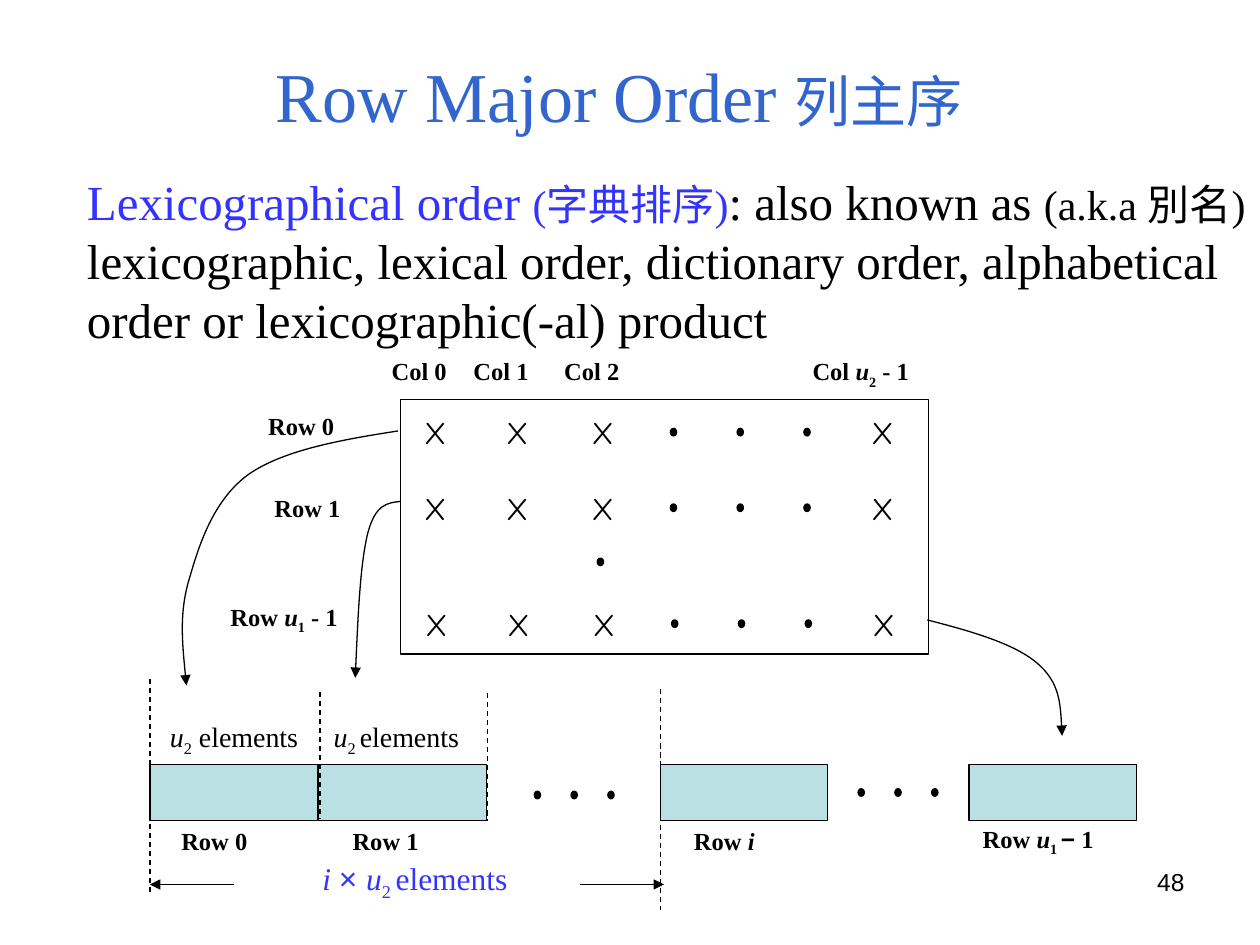
from lxml import etree
from pptx import Presentation
from pptx.dml.color import RGBColor
from pptx.enum.dml import MSO_LINE
from pptx.enum.shapes import MSO_CONNECTOR, MSO_SHAPE
from pptx.enum.text import MSO_ANCHOR, MSO_AUTO_SIZE, PP_ALIGN
from pptx.oxml.ns import qn
from pptx.util import Inches, Pt

DASH = MSO_LINE.DASH
STRAIGHT = MSO_CONNECTOR.STRAIGHT
RECTANGLE, OVAL = MSO_SHAPE.RECTANGLE, MSO_SHAPE.OVAL
BOTTOM, TOP = MSO_ANCHOR.BOTTOM, MSO_ANCHOR.TOP
NO_FIT = MSO_AUTO_SIZE.NONE
LEFT, CENTER, RIGHT = PP_ALIGN.LEFT, PP_ALIGN.CENTER, PP_ALIGN.RIGHT

COLUMNS, ROWS = 100, 75
SLIDE_WIDTH, SLIDE_HEIGHT = Inches(10), Inches(7.5)
BLACK, BLUE, TITLE_BLUE, TEAL = "000000", "3333FF", "3366CC", "BBE0E3"
SERIF, SANS, HAND = "Times New Roman", "Arial", "Comic Neue"

BOLD = {"bold": True}
ITALIC = {"italic": True}
SUBSCRIPT = {"baseline": "-25000"}


def color(hex_text):
    return RGBColor.from_string(hex_text)


def across(columns):
    return round(SLIDE_WIDTH * columns / COLUMNS)


def down(rows):
    return round(SLIDE_HEIGHT * rows / ROWS)


def place(left, top, width, height):
    return across(left), down(top), across(width), down(height)


class SlideBuilder:
    """Draws on one slide in grid columns and rows."""

    def __init__(self, slide):
        self.slide = slide
        self.shapes = slide.shapes

    def fill_frame(self, frame, runs, align=LEFT, wrap=True, anchor=TOP, **base):
        """Fill a frame with (text, format) runs that vary the base format."""
        settings = {"word_wrap": wrap, "auto_size": NO_FIT, "vertical_anchor": anchor}
        for name, value in settings.items():
            setattr(frame, name, value)
        paragraph = frame.paragraphs[0]
        paragraph.alignment = align
        for text, changes in runs:
            style = {"name": SERIF, "size": 14, "color": BLACK, **base, **changes}
            run = paragraph.add_run()
            run.text = text
            run.font.color.rgb = color(style.pop("color"))
            style["size"] = Pt(style["size"])
            baseline = style.pop("baseline", None)
            for name, value in style.items():
                setattr(run.font, name, value)
            if baseline:
                run._r.get_or_add_rPr().set("baseline", baseline)
        return paragraph

    def placeholder(self, index, box, runs, **style):
        shape = self.slide.placeholders[index]
        shape.left, shape.top, shape.width, shape.height = place(*box)
        return self.fill_frame(shape.text_frame, runs, **style)

    def text(self, box, runs, **style):
        frame = self.shapes.add_textbox(*place(*box)).text_frame
        self.fill_frame(frame, runs, **style)

    def outline(self, shape, dash=None, arrow=False):
        shape.line.color.rgb = color(BLACK)
        shape.line.width = Pt(0.75)
        if dash:
            shape.line.dash_style = dash
        if arrow:
            line = shape._element.spPr.find(qn("a:ln"))
            etree.SubElement(line, qn("a:tailEnd"), type="triangle")

    def shape(self, kind, box, fill=None):
        shape = self.shapes.add_shape(kind, *place(*box))
        shape.shadow.inherit = False
        if fill:
            shape.fill.solid()
            shape.fill.fore_color.rgb = color(fill)
        else:
            shape.fill.background()
        self.outline(shape)

    def dots(self, lefts, top):
        for left in lefts:
            self.shape(OVAL, (left, top, 0.5, 0.6), BLACK)

    def line(self, start, end, **style):
        connector = self.shapes.add_connector(
            STRAIGHT, across(start[0]), down(start[1]), across(end[0]), down(end[1]))
        self.outline(connector, **style)
        etree.SubElement(connector._element.spPr, qn("a:effectLst"))

    def curved_arrow(self, start, *points):
        """Draw Bezier pieces; each takes three points after the start."""
        builder = self.shapes.build_freeform(across(start[0]), down(start[1]))
        builder.add_line_segments([(across(x), down(y)) for x, y in points], close=False)
        shape = builder.convert_to_shape()
        segments = list(shape._element.iter(qn("a:lnTo")))
        for first in range(0, len(segments), 3):
            piece = segments[first:first + 3]
            curve = etree.SubElement(piece[0].getparent(), qn("a:cubicBezTo"))
            for segment in piece:
                curve.append(segment[0])
                segment.getparent().remove(segment)
        shape.shadow.inherit = False
        shape.fill.background()
        self.outline(shape, arrow=True)


def indexed(word, subscript, ending):
    return [(word, {}), ("u", ITALIC), (subscript, SUBSCRIPT), *ending]


def draw_heading(builder):
    builder.placeholder(
        0, (2.7, 2.8, 92.9, 8.5),
        [("Row Major Order ", {}), ("列主序", {"size": 32})],
        align=CENTER, anchor=BOTTOM, size=40, color=TITLE_BLUE)
    body = builder.placeholder(1, (5.9, 13.1, 94.1, 15), [
        ("Lexicographical order ", {"color": BLUE}),
        ("(字典排序)", {"color": BLUE, "size": 24}),
        (": also known as ", {}),
        ("(a.k.a 別名)", {"size": 24}),
        (" lexicographic, lexical order, dictionary order, "
         "alphabetical order or lexicographic(-al) product", {}),
    ], size=28)
    properties = body._p.get_or_add_pPr()
    properties.set("marL", "0")
    properties.set("indent", "0")
    etree.SubElement(properties, qn("a:buNone"))
    builder.text((71.7, 68.3, 23.3, 5.2), [("48", {})], align=RIGHT, name=SANS)


def draw_matrix(builder):
    builder.shape(RECTANGLE, (31.8, 31.7, 41.9, 20.2))
    for shift, top in ((0, 32.3), (0, 38.3), (0.1, 47.5)):
        for left in (32.7, 39.2, 46, 68.2):
            builder.text((left + shift, top, 3.7, 4), [("X", {})],
                         wrap=False, name=HAND, size=18)
        builder.dots([53.2 + shift + 5.3 * step for step in range(3)], top + 1.7)
    builder.dots([47.4], 44.3)
    minus_one = [(" - 1", {})]
    labels = [
        (30.1, 27.8, 8.6, [("Col 0", {})]),
        (36.6, 27.8, 8.6, [("Col 1", {})]),
        (43.8, 27.8, 8.6, [("Col 2", {})]),
        (63.5, 27.8, 12.2, indexed("Col ", "2", minus_one)),
        (20.3, 32.1, 9.8, [("Row 0", {})]),
        (20.8, 38.6, 9.4, [("Row 1", {})]),
        (17.3, 47.3, 12.9, indexed("Row ", "1", minus_one)),
    ]
    draw_labels(builder, labels)


def draw_labels(builder, labels):
    for left, top, width, runs in labels:
        builder.text((left, top, width, 3.5), runs, **BOLD)


def draw_memory(builder):
    for left in (11.9, 25.3, 52.4, 76.9):
        builder.shape(RECTANGLE, (left, 60.7, 13.3, 4.4), TEAL)
    for first, top in ((42.4, 62.8), (68.1, 62.6)):
        builder.dots([first + 2.92 * step for step in range(3)], top)
    for left, top, bottom in ((11.9, 53.9, 70.9), (25.4, 54.9, 65),
                              (38.7, 55, 65.2), (52.4, 54.7, 72.2)):
        builder.line((left, top), (left, bottom), dash=DASH)
    for left, width, subscript, word in ((12.5, 12.2, "2", " elements"),
                                         (25.5, 11.9, "2 ", "elements")):
        builder.text((left, 56.6, width, 4.1),
                     [("u", ITALIC), (subscript, SUBSCRIPT), (word, {})],
                     wrap=False, size=16)
    draw_labels(builder, [
        (13.4, 65.1, 9.8, [("Row 0", {})]),
        (27, 65.1, 9.4, [("Row 1", {})]),
        (54.1, 65.1, 9.4, [("Row ", {}), ("i", ITALIC)]),
        (77, 64.9, 12.8, indexed("Row ", "1 ", [("−", {"name": SANS}), (" 1", {})])),
    ])
    for start, end in ((18.6, 11.9), (46, 52.7)):
        builder.line((start, 70.2), (end, 70.2), arrow=True)
    builder.text((24.6, 67.7, 22.2, 4.4), [
        ("i ", ITALIC), ("× ", {"name": SANS}), ("u", ITALIC),
        ("2 ", SUBSCRIPT), ("elements", {})], size=18, color=BLUE)


def draw_mapping(builder):
    builder.curved_arrow((31.6, 34.2), (27.1, 34.9), (22.6, 35.7), (19.8, 37.6),
                         (17.1, 39.5), (15.9, 42.9), (15.1, 45.7),
                         (14.2, 48.5), (14.5, 51.4), (14.8, 54.4))
    builder.curved_arrow((31.8, 39.8), (30.8, 39.9), (29.8, 40), (29.2, 42.3),
                         (28.6, 44.7), (28.4, 49.2), (28.2, 53.8))
    builder.curved_arrow((73.6, 49.2), (77.1, 50.1), (80.6, 51.1), (82.4, 52.7),
                         (84.1, 54.2), (84.2, 56.3), (84.3, 58.4))


def main():
    presentation = Presentation()
    presentation.slide_width, presentation.slide_height = SLIDE_WIDTH, SLIDE_HEIGHT
    builder = SlideBuilder(presentation.slides.add_slide(presentation.slide_layouts[1]))
    for draw in (draw_heading, draw_matrix, draw_memory, draw_mapping):
        draw(builder)
    presentation.save("out.pptx")


if __name__ == "__main__":
    main()
